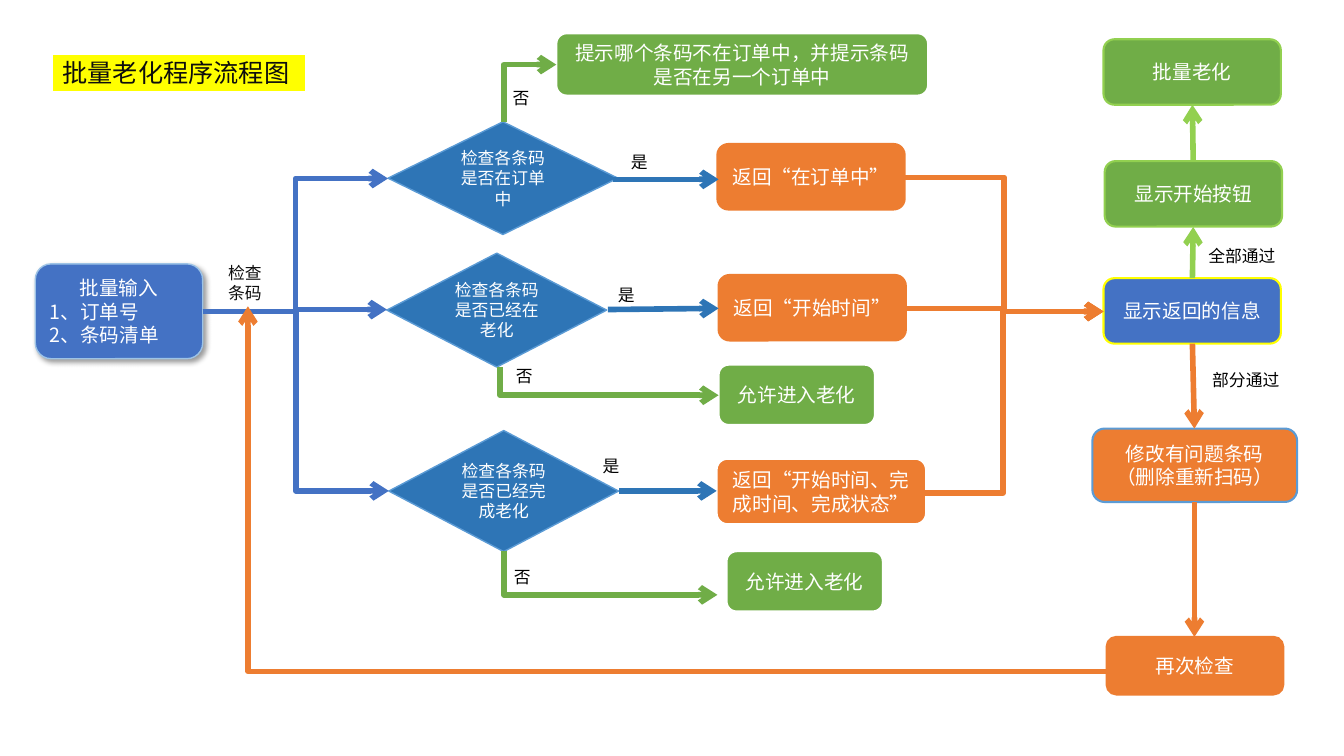
"""Build the flow chart of the batch ageing program."""
from dataclasses import dataclass

from lxml import etree
from pptx import Presentation
from pptx.dml.color import RGBColor
from pptx.enum import shapes, text
from pptx.oxml import ns, parse_xml
from pptx.util import Cm, Pt


@dataclass
class Theme:
    font: str = "Noto Sans CJK SC"
    title: int = 18
    body: int = 14
    small: int = 12
    line: int = 4
    border: float = 1.5
    thin: int = 1
    white: str = "FFFFFF"
    black: str = "000000"
    ink: str = "0D0D0D"
    yellow: str = "FFFF00"
    blue: str = "4472C4"
    deep: str = "2E75B6"
    sky: str = "5B9BD5"
    pale: str = "9DC3E6"
    green: str = "70AD47"
    lime: str = "92D050"
    orange: str = "ED7D31"


theme = Theme()
LEFT, CENTER = text.PP_ALIGN.LEFT, text.PP_ALIGN.CENTER
ROUND, DIAMOND = shapes.MSO_SHAPE.ROUNDED_RECTANGLE, shapes.MSO_SHAPE.DIAMOND


def write(box, words, size, color, align=CENTER, anchor=text.MSO_ANCHOR.MIDDLE):
    """Put words into a box and format every run."""
    frame = box.text_frame
    frame.text = words
    frame.word_wrap = True
    frame.auto_size = text.MSO_AUTO_SIZE.NONE
    frame.vertical_anchor = anchor
    for para in frame.paragraphs:
        para.alignment = align
        for span in para.runs:
            span.font.size = Pt(size)
            span.font.name = theme.font
            span.font.color.rgb = RGBColor.from_string(color)
            etree.SubElement(span.font._element, ns.qn("a:ea"), typeface=theme.font)


def paint(box, fill, border, width=theme.border):
    """Give a box its fill and border."""
    box.fill.solid()
    box.fill.fore_color.rgb = RGBColor.from_string(fill)
    box.line.color.rgb = RGBColor.from_string(border)
    box.line.width = Pt(width)


deck = Presentation()
deck.slide_width, deck.slide_height = Cm(33.87), Cm(19.05)
page = deck.slides.add_slide(deck.slide_layouts[5])

title = page.shapes.title
title.left, title.top, title.width, title.height = Cm(1.32), Cm(1.35), Cm(6.4), Cm(0.97)
geometry = etree.SubElement(title._element.spPr, ns.qn("a:prstGeom"), prst="roundRect")
etree.SubElement(geometry, ns.qn("a:avLst"))
paint(title, theme.yellow, theme.white)
write(title, "批量老化程序流程图", theme.title, theme.ink, LEFT)

check = page.shapes.add_shape(ROUND, Cm(5.44), Cm(6.53), Cm(1.63), Cm(1.19))
check.shadow.inherit = False
paint(check, theme.white, theme.white)
write(check, "检查条码", theme.small, theme.ink, LEFT)

entry = page.shapes.add_shape(ROUND, Cm(0.89), Cm(6.65), Cm(4.22), Cm(2.39))
paint(entry, theme.blue, theme.pale, theme.thin)
write(entry, "批量输入\n1、订单号\n2、条码清单", theme.body, theme.white, LEFT)
entry.text_frame.paragraphs[0].alignment = CENTER
entry._element.spPr.append(parse_xml(
    f'<a:effectLst {ns.nsdecls("a")}><a:outerShdw blurRad="{Pt(4)}" dist="{Pt(3)}" dir="2700000" '
    f'algn="tl"><a:srgbClr val="{theme.black}"><a:alpha val="40000"/></a:srgbClr>'
    '</a:outerShdw></a:effectLst>'))

questions = [
    ("检查各条码是否在订单中", 9.78, 3.07, 5.79, 2.84),
    ("检查各条码是否已经在老化", 9.75, 6.38, 5.54, 2.87),
    ("检查各条码是否已经完成老化", 9.8, 10.85, 5.79, 3.05),
]
for words, left, top, width, height in questions:
    question = page.shapes.add_shape(DIAMOND, Cm(left), Cm(top), Cm(width), Cm(height))
    question.shadow.inherit = False
    paint(question, theme.deep, theme.sky, theme.thin)
    write(question, words, theme.small, theme.white)

steps = [
    ("提示哪个条码不在订单中，并提示条码是否在另一个订单中", 14.02, 0.84, 9.37, 1.57, theme.green, theme.white),
    ("返回“在订单中”", 18.08, 3.63, 4.72, 1.65, theme.orange, theme.orange),
    ("返回“开始时间”", 18.11, 6.93, 4.72, 1.65, theme.orange, theme.orange),
    ("返回“开始时间、完成时间、完成状态”", 18.06, 11.56, 5.28, 1.65, theme.orange, theme.white),
    ("允许进入老化", 18.11, 9.19, 3.94, 1.52, theme.green, theme.white),
    ("允许进入老化", 18.31, 13.89, 3.94, 1.52, theme.green, theme.white),
    ("批量老化", 27.81, 0.99, 4.47, 1.65, theme.green, theme.lime),
    ("显示开始按钮", 27.84, 4.06, 4.47, 1.65, theme.green, theme.lime),
    ("显示返回的信息", 27.81, 7.01, 4.47, 1.65, theme.blue, theme.yellow),
    ("修改有问题条码\n（删除重新扫码）", 27.53, 10.8, 5.16, 1.85, theme.orange, theme.sky),
    ("再次检查", 27.89, 16.05, 4.45, 1.45, theme.orange, theme.orange),
]
for words, left, top, width, height, fill, border in steps:
    step = page.shapes.add_shape(ROUND, Cm(left), Cm(top), Cm(width), Cm(height))
    step.shadow.inherit = False
    paint(step, fill, border)
    write(step, words, theme.body, theme.white)

labels = [
    ("是", 15.65, 3.71, 0.86), ("是", 15.32, 7.04, 0.86), ("是", 14.94, 11.35, 0.86),
    ("否", 12.67, 2.08, 0.86), ("否", 12.75, 9.09, 0.86), ("否", 12.7, 14.15, 0.86),
    ("全部通过", 30.2, 6.07, 2.3), ("部分通过", 30.3, 9.19, 2.3),
]
for words, left, top, width in labels:
    label = page.shapes.add_textbox(Cm(left), Cm(top), Cm(width), Cm(0.76))
    write(label, words, theme.small, theme.black, LEFT, text.MSO_ANCHOR.TOP)

STRAIGHT, CORNER, DOWN_FIRST, MIDDLE = "line", "bentConnector2", 0, 50
arrows = [
    (5.11, 7.85, 9.78, 4.5, theme.blue, MIDDLE),
    (5.11, 7.85, 9.8, 12.37, theme.blue, MIDDLE),
    (7.47, 7.8, 9.75, 7.8, theme.blue, STRAIGHT),
    (15.44, 4.52, 18.11, 4.52, theme.deep, STRAIGHT),
    (15.32, 7.8, 18.11, 7.77, theme.deep, STRAIGHT),
    (15.6, 12.37, 18.06, 12.37, theme.deep, STRAIGHT),
    (12.7, 3.07, 14.02, 1.63, theme.green, DOWN_FIRST),
    (12.6, 9.25, 18.11, 9.96, theme.green, DOWN_FIRST),
    (12.7, 13.89, 18.08, 14.99, theme.green, DOWN_FIRST),
    (22.81, 4.47, 27.81, 7.85, theme.orange, MIDDLE),
    (22.83, 7.77, 27.81, 7.85, theme.orange, MIDDLE),
    (22.94, 12.42, 27.81, 7.85, theme.orange, 48),
    (30.05, 7.01, 30.07, 5.72, theme.lime, STRAIGHT),
    (30.07, 4.06, 30.05, 2.64, theme.lime, STRAIGHT),
    (30.05, 8.66, 30.1, 10.8, theme.orange, STRAIGHT),
    (30.1, 12.65, 30.1, 16.05, theme.orange, STRAIGHT),
    (27.89, 16.92, 6.25, 7.72, theme.orange, CORNER),
]
for x1, y1, x2, y2, color, route in arrows:
    kind = shapes.MSO_CONNECTOR.STRAIGHT if route == STRAIGHT else shapes.MSO_CONNECTOR.ELBOW
    arrow = page.shapes.add_connector(kind, Cm(x1), Cm(y1), Cm(x2), Cm(y2))
    arrow.line.color.rgb = RGBColor.from_string(color)
    arrow.line.width = Pt(theme.line)
    geometry = arrow._element.spPr.find(ns.qn("a:prstGeom"))
    if route == CORNER:
        geometry.set("prst", CORNER)
    elif route != STRAIGHT:
        etree.SubElement(geometry.find(ns.qn("a:avLst")), ns.qn("a:gd"),
                         name="adj1", fmla=f"val {route * 1000}")
    etree.SubElement(arrow.line._get_or_add_ln(), ns.qn("a:tailEnd"), type="arrow")
    etree.SubElement(arrow._element.spPr, ns.qn("a:effectLst"))

deck.save("out.pptx")
